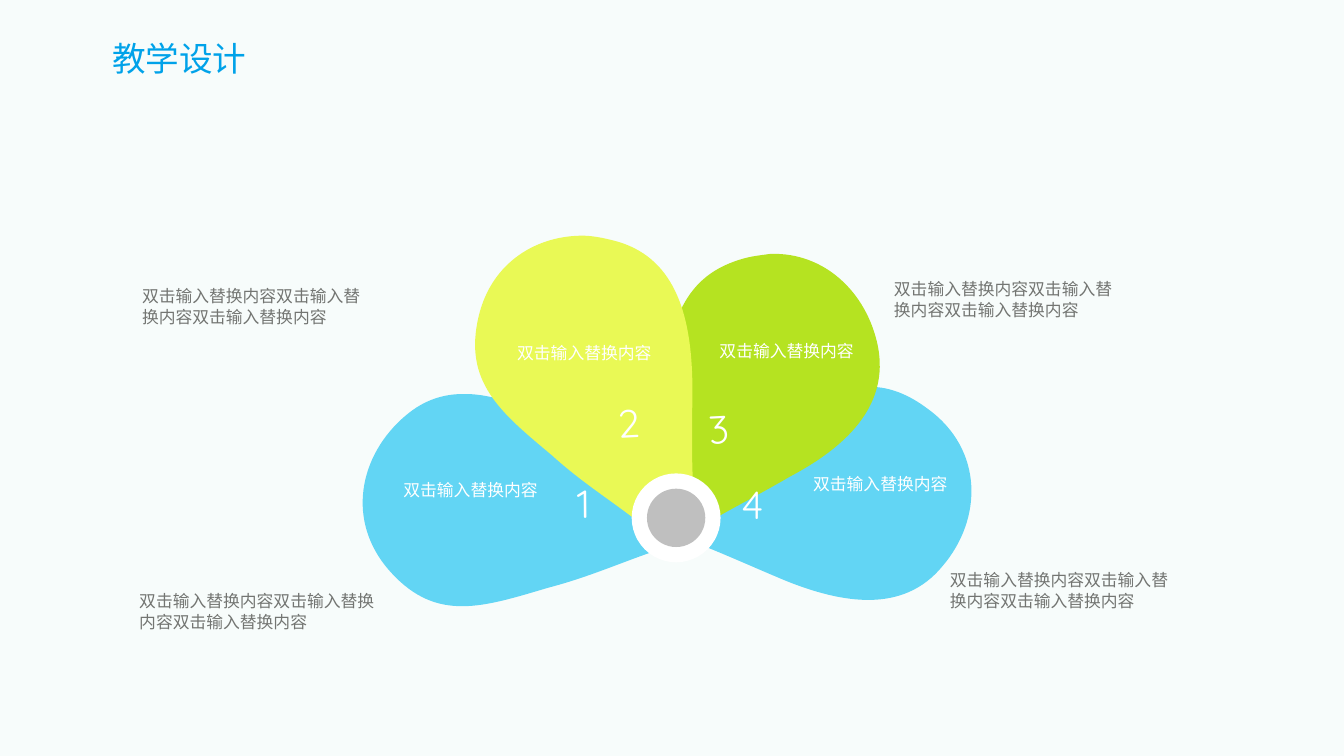
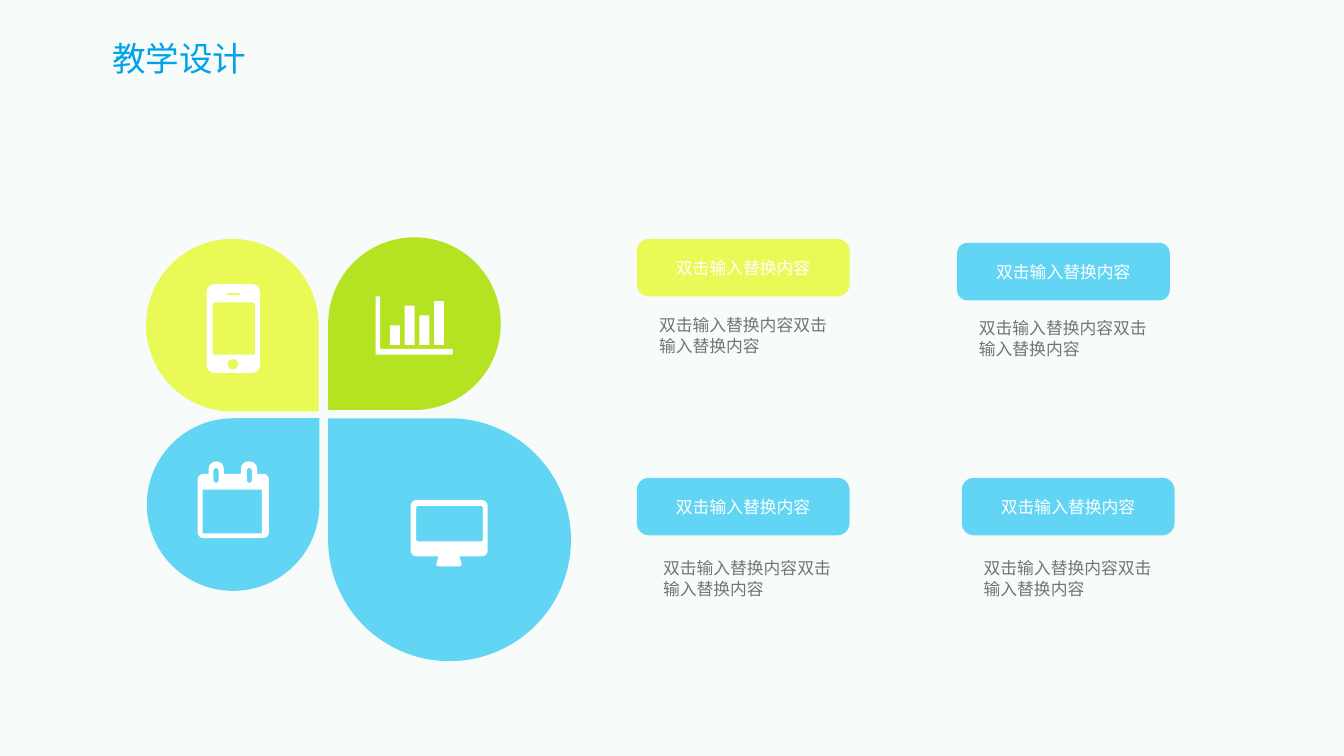
from math import hypot

from lxml.etree import SubElement
from pptx import Presentation
from pptx.dml.color import RGBColor
from pptx.enum.shapes import MSO_SHAPE as Preset
from pptx.enum.text import MSO_ANCHOR as Anchor, PP_ALIGN as Align
from pptx.oxml.ns import qn
from pptx.util import Cm, Pt

COLORS = {
    "tint": "E5F7F5",
    "title": "00A2E9",
    "body": "737572",
    "white": "FFFFFF",
    "gray": "BFBFBF",
    "blue": "62D5F4",
    "green": "B5E321",
    "yellow": "E9F955",
}
SLIDE_WIDTH, SLIDE_HEIGHT = 33.87, 19.05
CHINESE_FONT = "Noto Sans CJK SC"
LABEL_FONT = "Calibri"
NUMBER_FONT = "Quicksand"
TITLE = "教学设计"
LABEL = "双击输入替换内容"
BOUND_STEPS = 40
ARC = 0.55

PETALS = [
    ("blue", (0.25, 2.21, 0.53), [
        (11.66, 9.93),
        (12.5, 9.91, 13.39, 10.31, 14.2, 10.85),
        (15.14, 11.46, 15.82, 11.96, 16.54, 12.34),
        (16.41, 13.92),
        (15.6, 14.2, 14.81, 14.55, 13.82, 14.81),
        (12.19, 15.29, 11.02, 15.7, 9.86, 14.43),
        (8.69, 13.16, 9.04, 11.46, 10.24, 10.46),
        (10.69, 10.08, 11.18, 9.93, 11.66, 9.93),
    ]),
    ("blue", (3.1, 0.25, 0.53), [
        (21.95, 9.75),
        (22.4, 9.75, 22.89, 9.93, 23.39, 10.31),
        (24.79, 11.33, 24.77, 13.08, 23.75, 14.27),
        (22.76, 15.47, 21.23, 15.21, 19.79, 14.63),
        (18.77, 14.2, 17.98, 13.84, 17.22, 13.56),
        (17.04, 12.04),
        (17.78, 11.58, 18.52, 11.07, 19.43, 10.67),
        (20.37, 10.19, 21.16, 9.75, 21.95, 9.75),
    ]),
    ("green", (1.4, 0.1, 2.13), [
        (19.41, 6.4),
        (20.78, 6.35, 21.84, 7.37, 22.12, 8.71),
        (22.43, 10.24, 21.29, 11.28, 19.91, 12.01),
        (18.95, 12.57, 18.16, 12.95, 17.48, 13.39),
        (16.18, 12.55),
        (16.28, 11.68, 16.36, 10.82, 16.59, 9.83),
        (16.94, 8.18, 17.15, 6.93, 18.8, 6.5),
        (19, 6.45, 19.2, 6.43, 19.41, 6.4),
    ]),
    ("yellow", (0.3, 0.3, 1.32), [
        (14.73, 5.94),
        (15.01, 5.95, 15.32, 6.02, 15.6, 6.1),
        (17.07, 6.55, 17.42, 8.05, 17.45, 9.63),
        (17.45, 10.74, 17.42, 11.61, 17.48, 12.4),
        (16.1, 13.16),
        (15.42, 12.62, 14.68, 12.17, 13.92, 11.48),
        (12.62, 10.39, 11.66, 9.63, 12.07, 7.95),
        (12.4, 6.6, 13.54, 5.92, 14.73, 5.94),
    ]),
]
HUB_CENTER = (17.04, 13.05)
HUB_DISCS = [("white", 2.24), ("gray", 1.47)]
NUMBERS = [
    ("3", 17.9, 10.82, 357),
    ("1", 14.55, 12.72, 359.5),
    ("2", 15.6, 10.67, 357),
    ("4", 18.69, 12.76, 0),
]
PETAL_CAPTIONS = [
    (3.26, 14.73, 6.53),
    (3.33, 7.06, 6.27),
    (22.28, 6.88, 6.25),
    (23.69, 14.22, 6.25),
]
TEARDROPS = [
    ("blue", 8.27, 10.54, 6.12, 270),
    ("green", 8.27, 5.98, 4.35, 180),
    ("blue", 3.7, 10.54, 4.35, 0),
    ("yellow", 3.68, 6.02, 4.35, 90),
]
CARDS = [
    ("yellow", (16.05, 6.02), 0.21, (16.36, 7.78)),
    ("blue", (24.12, 6.12), 0.18, (24.42, 7.87)),
    ("blue", (16.05, 12.04), 0.21, (16.46, 13.91)),
    ("blue", (24.24, 12.04), 0.21, (24.54, 13.91)),
]


def rgb(name):
    return RGBColor.from_string(COLORS[name])


def paint(shape, color):
    shape.shadow.inherit = False
    shape.fill.solid()
    shape.fill.fore_color.rgb = rgb(color)
    shape.line.fill.background()


def write(shape, text, size, color, font, align=Align.LEFT, spacing=Pt(15)):
    frame = shape.text_frame
    frame.word_wrap = True
    frame.text = text
    paragraph = frame.paragraphs[0]
    paragraph.alignment = align
    paragraph.line_spacing = spacing
    run = paragraph.runs[0]
    run.font.name = font
    run.font.size = Pt(size)
    run.font.color.rgb = rgb(color)
    properties = run.font._element
    east_asian = properties.makeelement(qn("a:ea"), {"typeface": CHINESE_FONT})
    properties.find(qn("a:latin")).addnext(east_asian)


def set_margins(shape, left=0, right=0, bottom=0):
    frame = shape.text_frame
    frame.margin_left, frame.margin_right = Cm(left), Cm(right)
    frame.margin_top, frame.margin_bottom = 0, Cm(bottom)


def add_preset(slide, preset, left, top, width, height, color):
    shape = slide.shapes.add_shape(preset, Cm(left), Cm(top), Cm(width), Cm(height))
    paint(shape, color)
    return shape


def add_text(slide, left, top, width, height, *style):
    text_box = slide.shapes.add_textbox(Cm(left), Cm(top), Cm(width), Cm(height))
    write(text_box, *style)
    return text_box


def add_caption(slide, left, top, width, repeats):
    add_text(slide, left, top, width, 1.32, LABEL * repeats, 12, "body", CHINESE_FONT)


def add_label(shape, left=0, right=0, bottom=0):
    write(shape, LABEL, 12, "white", LABEL_FONT, Align.CENTER)
    shape.text_frame.vertical_anchor = Anchor.MIDDLE
    set_margins(shape, left, right, bottom)


def bezier(start, curve, position):
    rest = 1 - position
    weights = (rest ** 3, 3 * rest ** 2 * position, 3 * rest * position ** 2, position ** 3)
    points = (start, curve[:2], curve[2:4], curve[4:])
    return tuple(sum(w * p[axis] for w, p in zip(weights, points)) for axis in (0, 1))


def bounds(contours):
    points = []
    for contour in contours:
        for index, segment in enumerate(contour):
            if len(segment) == 6:
                start = contour[index - 1][-2:]
                points += [bezier(start, segment, step / BOUND_STEPS)
                           for step in range(BOUND_STEPS)]
            points.append(segment[-2:])
    columns, rows = zip(*points)
    return [Cm(edge) for edge in (min(columns), min(rows), max(columns), max(rows))]


def draw_contour(drawing, contour, left, top):
    for index, segment in enumerate(contour):
        tag = "a:cubicBezTo" if len(segment) == 6 else "a:lnTo" if index else "a:moveTo"
        command = SubElement(drawing, qn(tag))
        for x, y in zip(segment[::2], segment[1::2]):
            SubElement(command, qn("a:pt"), x=str(Cm(x) - left), y=str(Cm(y) - top))
    SubElement(drawing, qn("a:close"))


def add_outline(slide, contours, color):
    left, top, right, bottom = bounds(contours)
    builder = slide.shapes.build_freeform(left, top, scale=1.0)
    builder.add_line_segments([(right, top), (right, bottom)], close=True)
    shape = builder.convert_to_shape()
    drawing = next(shape._element.iter(qn("a:path")))
    for command in list(drawing):
        drawing.remove(command)
    for contour in contours:
        draw_contour(drawing, contour, left, top)
    paint(shape, color)
    return shape


def toward(start, end, distance):
    ratio = distance / hypot(end[0] - start[0], end[1] - start[1])
    return tuple(a + (b - a) * ratio for a, b in zip(start, end))


def rounded(corners):
    contour = []
    for index, (x, y, radius) in enumerate(corners):
        corner = (x, y)
        if not radius:
            contour.append(corner)
            continue
        before = corners[index - 1][:2]
        after = corners[(index + 1) % len(corners)][:2]
        handle = radius * (1 - ARC)
        contour.append(toward(corner, before, radius))
        contour.append(toward(corner, before, handle) + toward(corner, after, handle)
                       + toward(corner, after, radius))
    return contour


def box(left, top, right, bottom, radius=0):
    return rounded([(left, top, radius), (right, top, radius),
                    (right, bottom, radius), (left, bottom, radius)])


def calendar_icon():
    rings = []
    for left, right in ((5.26, 5.64), (6.07, 6.48)):
        rings += [(left, 11.94, 0), (left, 11.63, 0.18),
                  (right, 11.63, 0.18), (right, 11.94, 0)]
    body = [(4.98, 11.94, 0.15), *rings, (6.78, 11.94, 0.15),
            (6.78, 13.56, 0.15), (4.98, 13.56, 0.15)]
    slots = [box(left, 11.79, left + 0.13, 12.17, 0.05) for left in (5.38, 6.22)]
    return [rounded(body), box(5.11, 12.34, 6.6, 13.44), *slots]


def monitor_icon():
    body = [(10.35, 12.6, 0.15), (12.29, 12.6, 0.15), (12.29, 14.02, 0.15),
            (11.58, 14.02, 0), (11.65, 14.27, 0.06), (10.98, 14.27, 0.06),
            (11.05, 14.02, 0), (10.35, 14.02, 0.15)]
    return [rounded(body), box(10.49, 12.75, 12.17, 13.64, 0.03)]


def chart_icon():
    axes = [(9.47, 7.47), (9.58, 7.47), (9.58, 8.79), (11.41, 8.79), (11.41, 8.94), (9.47, 8.94)]
    lefts = [9.83 + 0.37 * index for index in range(4)]
    bars = [box(left, top, left + 0.25, 8.69)
            for left, top in zip(lefts, (8.2, 7.7, 7.95, 7.59))]
    return [axes, *bars]


def phone_icon():
    return [box(5.21, 7.16, 6.55, 9.4, 0.2), box(5.36, 7.62, 6.43, 8.94, 0.05),
            box(5.72, 7.39, 6.05, 7.44, 0.02), box(5.73, 9.04, 6.01, 9.32, 0.14)]


def move_to_master(presentation, shape):
    tree = presentation.slide_master.shapes._spTree
    shape._element.nvSpPr.cNvPr.set("id", str(len(tree) + 100))
    tree.append(shape._element)


def build_master(presentation, slide):
    tint = add_preset(slide, Preset.RECTANGLE, 0, 0, SLIDE_WIDTH, SLIDE_HEIGHT, "tint")
    fill_color = next(tint._element.spPr.iter(qn("a:srgbClr")))
    SubElement(fill_color, qn("a:alpha"), val="30000")
    title = add_text(slide, 0, 0.84, 9.04, 1.27, TITLE, 24, "title", CHINESE_FONT,
                     Align.CENTER, 1.0)
    for shape in (tint, title):
        move_to_master(presentation, shape)


def build_fan_slide(slide):
    for color, margins, contour in PETALS:
        add_label(add_outline(slide, [contour], color), *margins)
    for color, size in HUB_DISCS:
        left, top = (center - size / 2 for center in HUB_CENTER)
        add_preset(slide, Preset.OVAL, left, top, size, size, color)
    for number, left, top, rotation in NUMBERS:
        numeral = add_text(slide, left, top, 1.5, 1.5, number, 28, "white", NUMBER_FONT)
        set_margins(numeral)
        numeral.rotation = rotation
    for left, top, width in PETAL_CAPTIONS:
        add_caption(slide, left, top, width, 3)


def build_clover_slide(slide):
    for color, left, top, size, rotation in TEARDROPS:
        add_preset(slide, Preset.TEAR, left, top, size, size, color).rotation = rotation
    for icon in (calendar_icon, monitor_icon, chart_icon, phone_icon):
        add_outline(slide, icon(), "white")
    for color, button_place, corner, caption_place in CARDS:
        button = add_preset(slide, Preset.ROUNDED_RECTANGLE, *button_place, 5.36, 1.45, color)
        button.adjustments[0] = corner
        add_label(button)
        add_caption(slide, *caption_place, 4.75, 2)


def main():
    presentation = Presentation()
    presentation.slide_width, presentation.slide_height = Cm(SLIDE_WIDTH), Cm(SLIDE_HEIGHT)
    blank = presentation.slide_layouts[6]
    fan, clover = (presentation.slides.add_slide(blank) for _ in range(2))
    build_master(presentation, fan)
    build_fan_slide(fan)
    build_clover_slide(clover)
    presentation.save("out.pptx")


if __name__ == "__main__":
    main()
